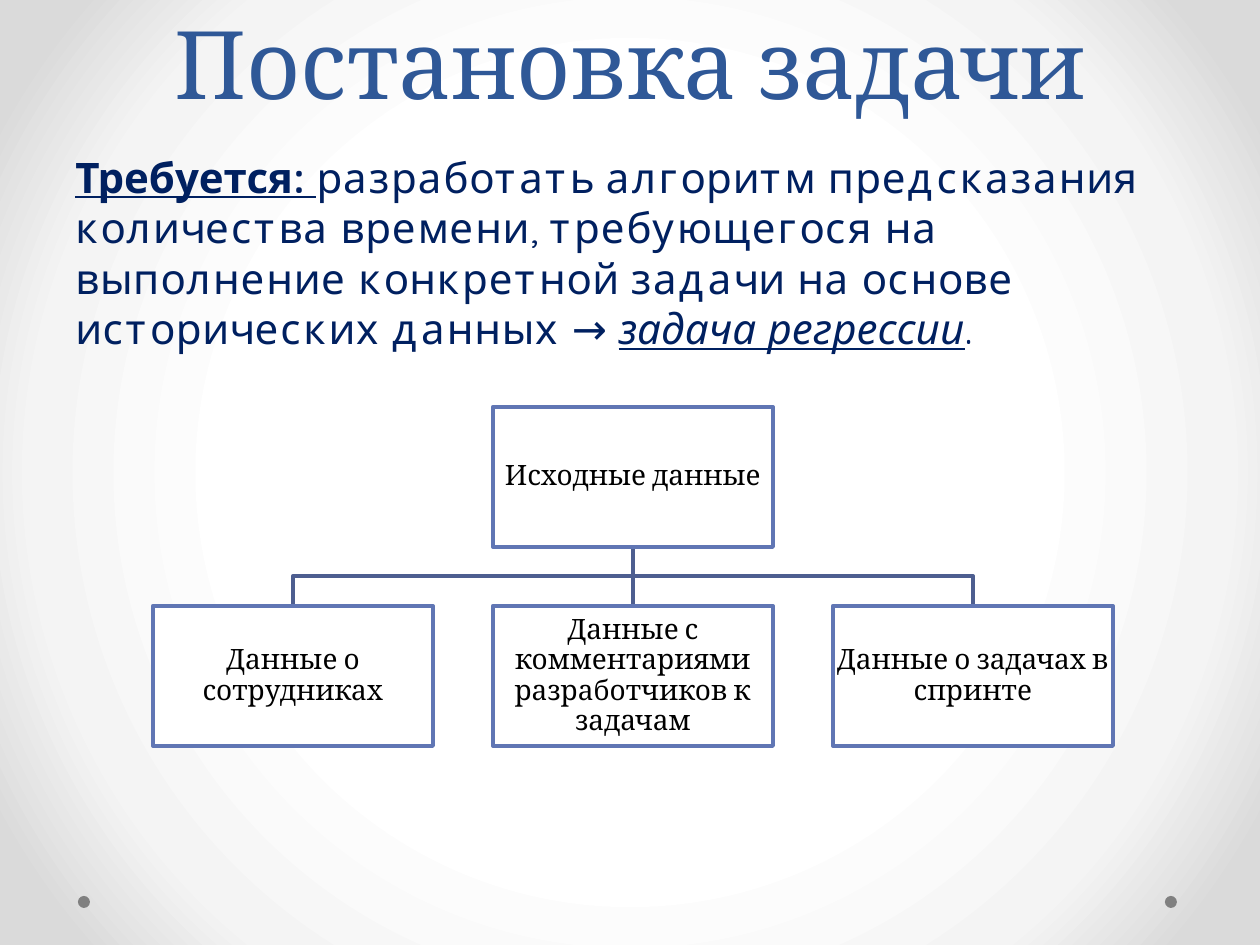
"""Build the problem statement slide with its tree of source data."""
import pptx
import pptx.dml.color
import pptx.enum.shapes
import pptx.enum.text
import pptx.oxml
import pptx.oxml.ns
import pptx.util

PX = 914400 // 126
NAVY, BOX_LINE, BRANCH_LINE = "002060", "6076B4", "4D5E90"


def rgb(value):
    return pptx.dml.color.RGBColor.from_string(value)


def style(run, face, size, color):
    run.font.name = face
    run.font.size = pptx.util.Pt(size)
    run.font.color.rgb = rgb(color)


deck = pptx.Presentation()
deck.slide_width = pptx.util.Inches(10)
deck.slide_height = pptx.util.Inches(7.5)
slide = deck.slides.add_slide(deck.slide_layouts[5])
shapes = slide.shapes

slide.background.fill.gradient()
glow = slide.background.fill._xPr.find(pptx.oxml.ns.qn("a:gradFill"))
stops = "".join(
    f'<a:gs pos="{percent * 1000}"><a:srgbClr val="{color}"/></a:gs>'
    for percent, color in ((50, "FFFFFF"), (76, "F4F4F4"), (92, "DADADA")))
glow.getparent().replace(glow, pptx.oxml.parse_xml(
    f'<a:gradFill {pptx.oxml.ns.nsdecls("a")} rotWithShape="1"><a:gsLst>{stops}</a:gsLst>'
    '<a:path path="circle"><a:fillToRect l="50000" t="50000" r="50000" b="50000"/></a:path>'
    '</a:gradFill>'))

for dot_left in (78, 1165):
    dot = shapes.add_shape(pptx.enum.shapes.MSO_SHAPE.OVAL,
                           dot_left * PX, 896 * PX, 12 * PX, 12 * PX)
    dot.shadow.inherit = False
    dot.fill.solid()
    dot.fill.fore_color.rgb = rgb("808080")
    dot.line.fill.background()

heading = shapes.title
heading.left, heading.top, heading.width, heading.height = 63 * PX, 0, 1134 * PX, 125 * PX
heading.text_frame.text = "Постановка задачи"
heading.text_frame.vertical_anchor = pptx.enum.text.MSO_ANCHOR.BOTTOM
heading_line = heading.text_frame.paragraphs[0]
heading_line.alignment = pptx.enum.text.PP_ALIGN.CENTER
heading_line.line_spacing = pptx.util.Pt(58)
style(heading_line.runs[0], "Cambria", 54, "2F5897")

task = shapes.add_textbox(63 * PX, 145 * PX, 1134 * PX, 699 * PX).text_frame
task.word_wrap = True
requirement = task.paragraphs[0]
requirement.space_before = pptx.util.Pt(4.8)
for words, bold, italic, underline in (
        ("Требуется: ", True, False, True),
        ("разработать алгоритм предсказания количества времени, требующегося на "
         "выполнение конкретной задачи на основе исторических данных → ", False, False, False),
        ("задача регрессии", False, True, True),
        (".", False, False, False)):
    run = requirement.add_run()
    run.text = words
    style(run, "Quicksand", 24, NAVY)
    run.font.bold, run.font.italic, run.font.underline = bold, italic, underline

BOX_W, BOX_H, STEP = 280, 140, 340
ROOT_TOP, CHILD_TOP, FIRST_LEFT = 407, 606, 153
root_left = FIRST_LEFT + STEP
root_x, root_bottom = root_left + BOX_W // 2, ROOT_TOP + BOX_H
fork_y = (root_bottom + CHILD_TOP) // 2
children = ("Данные о сотрудниках",
            "Данные с комментариями разработчиков к задачам",
            "Данные о задачах в спринте")
boxes = [("Исходные данные", root_left, ROOT_TOP)]
boxes += [(words, FIRST_LEFT + i * STEP, CHILD_TOP) for i, words in enumerate(children)]

for _, left, top in boxes[1:]:
    child_x = left + BOX_W // 2
    outline = shapes.build_freeform(root_x, root_bottom, scale=PX)
    outline.add_line_segments(
        [(root_x, fork_y), (child_x, fork_y), (child_x, top)], close=False)
    branch = outline.convert_to_shape()
    branch.shadow.inherit = False
    branch.fill.background()
    branch.line.color.rgb = rgb(BRANCH_LINE)
    branch.line.width = pptx.util.Pt(2.25)

for words, left, top in boxes:
    box = shapes.add_shape(pptx.enum.shapes.MSO_SHAPE.RECTANGLE,
                           left * PX, top * PX, BOX_W * PX, BOX_H * PX)
    box.shadow.inherit = False
    box.fill.solid()
    box.fill.fore_color.rgb = rgb("FFFFFF")
    box.line.color.rgb = rgb(BOX_LINE)
    box.line.width = pptx.util.Pt(2.25)
    label = box.text_frame
    label.text = words
    label.word_wrap = True
    label.vertical_anchor = pptx.enum.text.MSO_ANCHOR.MIDDLE
    label.margin_left = label.margin_right = label.margin_top = label.margin_bottom = PX
    label.paragraphs[0].alignment = pptx.enum.text.PP_ALIGN.CENTER
    label.paragraphs[0].line_spacing = 0.9
    style(label.paragraphs[0].runs[0], "Cambria", 16, "000000")

deck.save("out.pptx")
